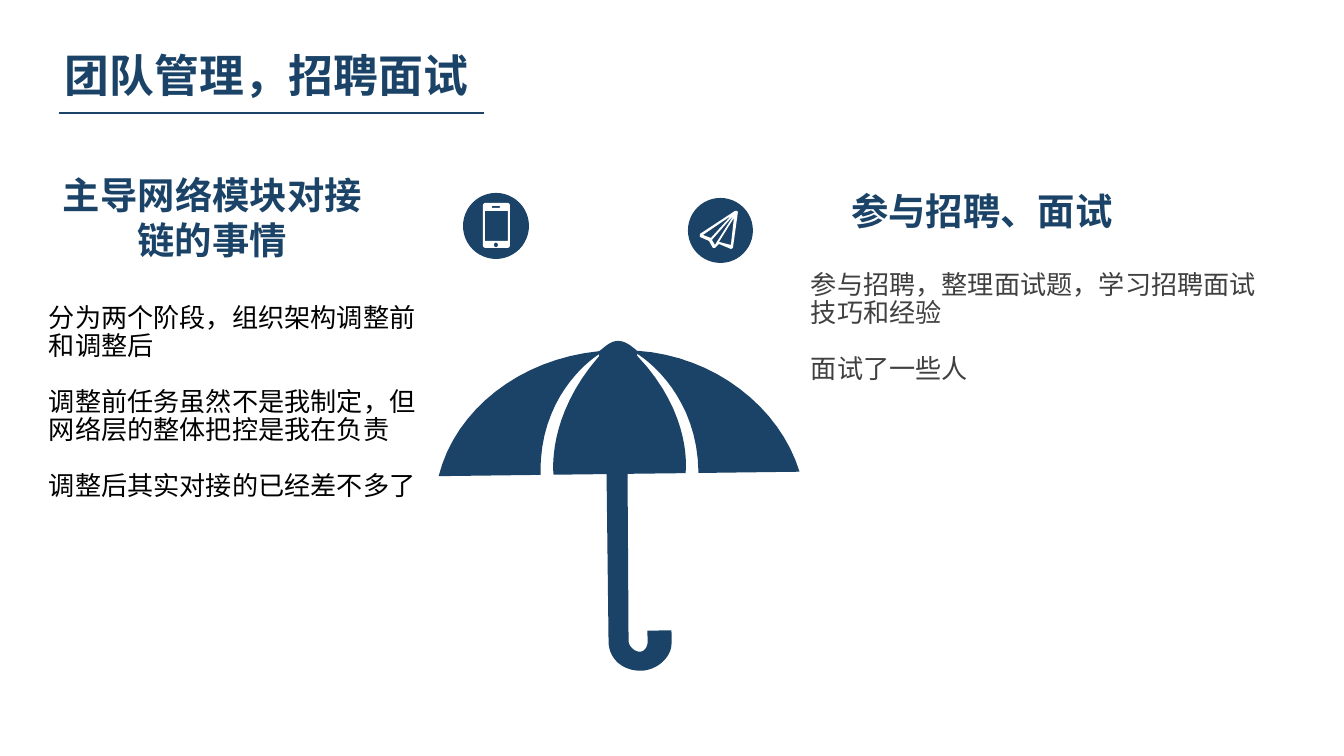
import pptx
import pptx.util
import pptx.dml.color
import pptx.enum.shapes
import pptx.enum.text
import pptx.oxml
import pptx.oxml.ns

SCALE = 914400 / 134.4  # EMU in one px
FONT = "Noto Sans CJK SC"
NAVY = pptx.dml.color.RGBColor(0x1B, 0x43, 0x67)
WHITE = pptx.dml.color.RGBColor(0xFF, 0xFF, 0xFF)
BLACK = pptx.dml.color.RGBColor(0x00, 0x00, 0x00)
GRAY = pptx.dml.color.RGBColor(0x40, 0x40, 0x40)
LEFT = pptx.enum.text.PP_ALIGN.LEFT
CENTER = pptx.enum.text.PP_ALIGN.CENTER

# Outlines in px: two numbers are a point, six a Bezier curve to the last point
UMBRELLA = [
    (699, 474), (800, 474),
    # Canopy and tip
    (781, 409, 716, 357, 639, 351), (634, 347, 628, 341, 620, 341),
    (612, 341, 607, 347, 601, 351), (522, 358, 457, 407, 439, 474),
    # Left gap
    (541, 474), (540, 397, 591, 360, 601, 354), (601, 356),
    (547, 416, 554, 474, 554, 474),
    # Stem and hook
    (607, 474), (607, 642), (607, 658, 620, 671, 639, 671),
    (654, 671, 670, 659, 670, 643), (670, 631), (646, 631), (646, 642),
    (646, 647, 643, 652, 638, 652), (634, 652, 628, 648, 627, 642),
    # Right gap
    (628, 474), (686, 474), (686, 474, 695, 416, 639, 356), (639, 354),
    (650, 361, 699, 398, 699, 474),
]
PHONE = [
    [(486, 203), (507, 203), (509, 203, 510, 204, 510, 206), (510, 245),
     (510, 247, 509, 248, 507, 248), (486, 248),
     (484, 248, 483, 247, 483, 245), (483, 206),
     (483, 204, 484, 203, 486, 203)],
    [(492, 206), (500, 206), (500, 208), (492, 208)],
    [(485, 211), (508, 211), (508, 241), (485, 241)],
    [(494, 245), (494, 242, 498, 242, 498, 245),
     (498, 248, 494, 248, 494, 245)],
]
PAPER_PLANE = [
    [(737, 211), (735, 211), (700, 234), (700, 237), (709, 241), (713, 248),
     (715, 248), (719, 244), (731, 249), (733, 248), (738, 212)],
    [(703, 235), (731, 216), (711, 238)],
    [(712, 240), (734, 215), (715, 245)],
    [(731, 245), (719, 242), (734, 218)],
]


def px(value):
    return pptx.util.Emu(round(value * SCALE))


def flatten(outline, steps=16):
    """Turn an outline with Bezier curves into points in EMU."""
    points = [outline[0]]
    for segment in outline[1:]:
        if len(segment) == 2:
            points.append(segment)
            continue
        start = points[-1]
        controls = (start, segment[0:2], segment[2:4], segment[4:6])
        for step in range(1, steps + 1):
            t = step / steps
            weights = ((1 - t) ** 3, 3 * t * (1 - t) ** 2,
                       3 * t ** 2 * (1 - t), t ** 3)
            points.append(tuple(
                sum(weight * point[axis]
                    for weight, point in zip(weights, controls))
                for axis in (0, 1)))
    return [(px(x), px(y)) for x, y in points]


def paint(shape, color):
    shape.shadow.inherit = False
    shape.fill.solid()
    shape.fill.fore_color.rgb = color
    shape.line.fill.background()


def add_outline(slide, outlines, color):
    contours = [flatten(outline) for outline in outlines]
    builder = slide.shapes.build_freeform(*contours[0][0], scale=1.0)
    for index, contour in enumerate(contours):
        if index:
            builder.move_to(*contour[0])
        builder.add_line_segments(contour[1:], close=True)
    shape = builder.convert_to_shape()
    paint(shape, color)
    return shape


def add_icon(slide, left, top, size, outlines):
    circle = slide.shapes.add_shape(
        pptx.enum.shapes.MSO_SHAPE.OVAL, px(left), px(top), px(size), px(size))
    paint(circle, NAVY)
    add_outline(slide, outlines, WHITE)


def write_text(shape, texts, size, color, bold=False, align=LEFT,
               wrap=True, line_points=None):
    frame = shape.text_frame
    frame.word_wrap = wrap
    frame.auto_size = pptx.enum.text.MSO_AUTO_SIZE.NONE
    frame.vertical_anchor = pptx.enum.text.MSO_ANCHOR.TOP
    frame.margin_left = frame.margin_right = px(10)
    frame.margin_top = frame.margin_bottom = px(5)
    for index, text in enumerate(texts):
        paragraph = frame.add_paragraph() if index else frame.paragraphs[0]
        paragraph.alignment = align
        if line_points:
            paragraph.line_spacing = pptx.util.Pt(line_points)
            # One line of space between paragraphs
            paragraph.space_before = pptx.util.Pt(line_points if index else 0)
        run = paragraph.add_run()
        run.text = text
        run.font.size = pptx.util.Pt(size)
        run.font.bold = bold
        run.font.color.rgb = color
        run.font.name = FONT
        east_asian = pptx.oxml.parse_xml(
            f'<a:ea {pptx.oxml.ns.nsdecls("a")} typeface="{FONT}"/>')
        run.font._element.find(pptx.oxml.ns.qn("a:latin")).addnext(east_asian)


def add_text(slide, box, texts, size, color, **options):
    shape = slide.shapes.add_textbox(*map(px, box))
    write_text(shape, texts, size, color, **options)


def add_title(slide, text):
    title = slide.shapes.title
    title.left, title.top, title.width, title.height = map(px, (55, 43, 504, 65))
    write_text(title, [text], 24, NAVY, bold=True)
    rule = slide.shapes.add_connector(
        pptx.enum.shapes.MSO_CONNECTOR.STRAIGHT, px(59), px(113), px(484), px(113))
    rule.line.color.rgb = NAVY
    rule.line.width = pptx.util.Pt(0.75)
    rule._element.spPr.append(pptx.oxml.parse_xml(
        f'<a:effectLst {pptx.oxml.ns.nsdecls("a")}/>'))


def main():
    presentation = pptx.Presentation()
    presentation.slide_width, presentation.slide_height = px(1344), px(756)
    slide = presentation.slides.add_slide(presentation.slide_layouts[5])
    add_title(slide, "团队管理，招聘面试")

    # Umbrella and icons
    umbrella = add_outline(slide, [UMBRELLA], NAVY)
    umbrella.rotation = -0.7
    add_icon(slide, 463, 193, 66, PHONE)
    add_icon(slide, 688, 198, 65, PAPER_PLANE)

    # Left column
    add_text(slide, (39, 167, 347, 101), ["主导网络模块对接链的事情"],
             20, NAVY, bold=True, align=CENTER)
    add_text(slide, (39, 300, 405, 208),
             ["分为两个阶段，组织架构调整前和调整后",
              "调整前任务虽然不是我制定，但网络层的整体把控是我在负责",
              "调整后其实对接的已经差不多了"], 14, BLACK, line_points=15)

    # Right column
    add_text(slide, (841, 183, 284, 55), ["参与招聘、面试"],
             20, NAVY, bold=True, wrap=False)
    add_text(slide, (801, 267, 489, 124),
             ["参与招聘，整理面试题，学习招聘面试技巧和经验", "面试了一些人"],
             14, GRAY, line_points=15)

    presentation.save("out.pptx")


if __name__ == "__main__":
    main()
